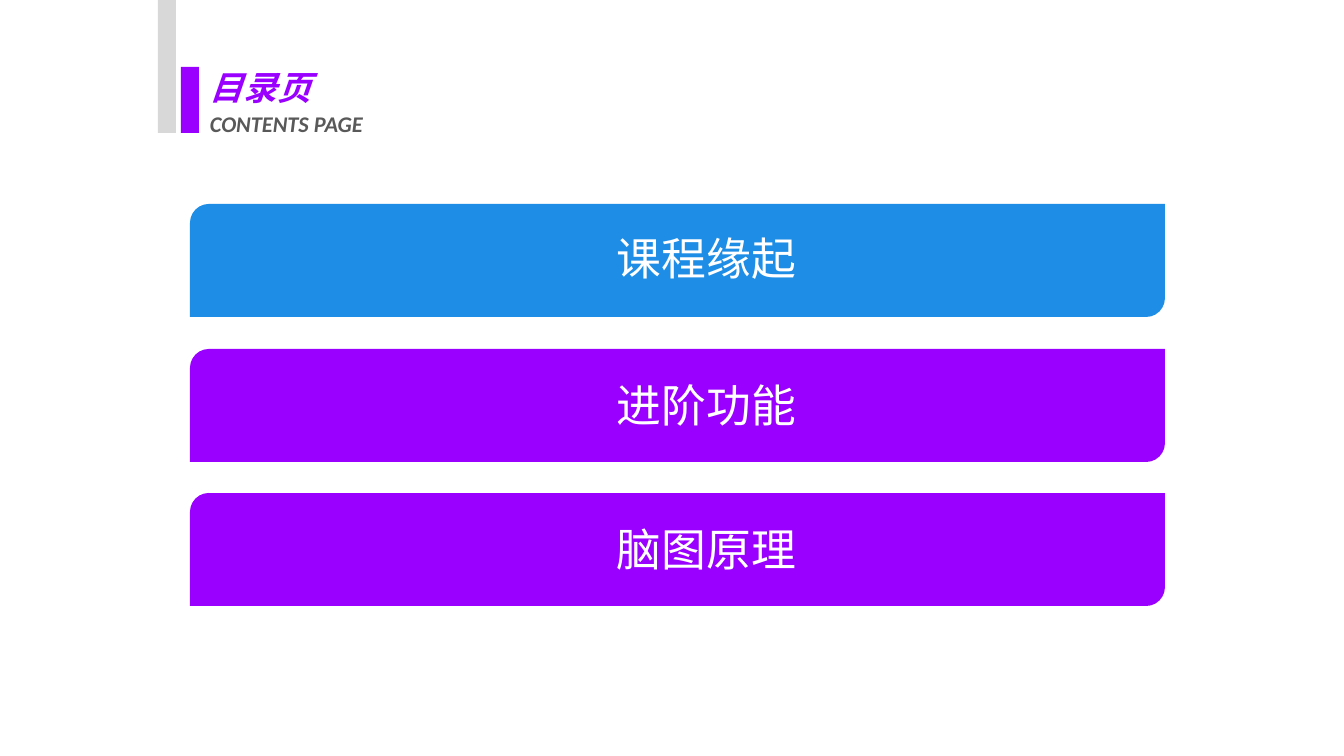
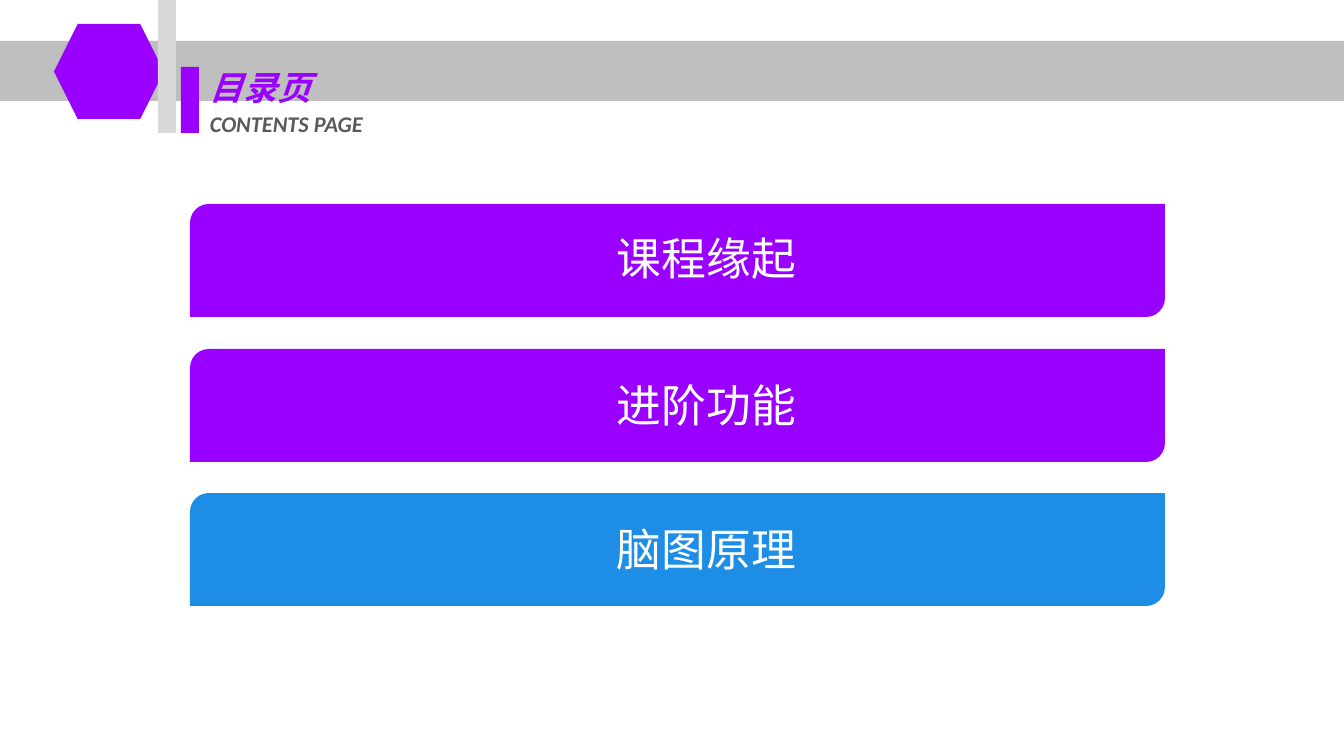
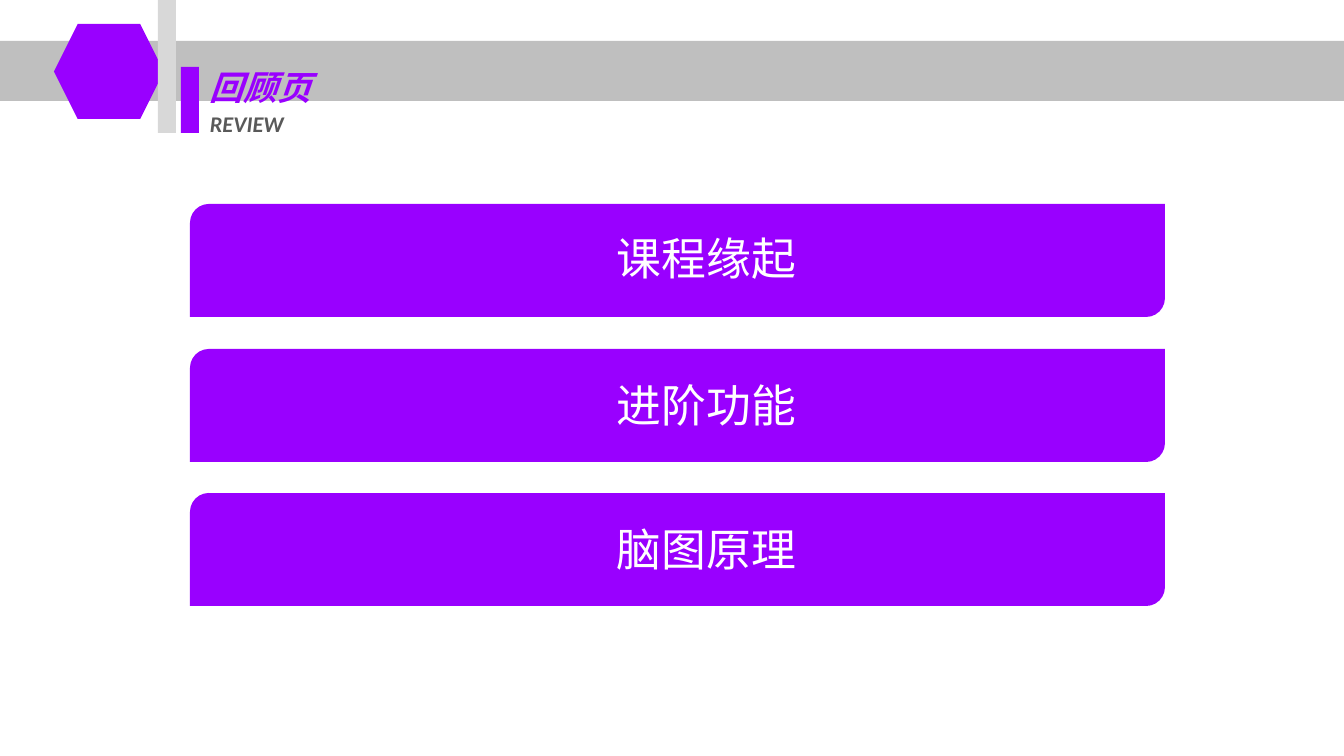
from lxml import etree
from pptx import Presentation
from pptx import util as u
from pptx.dml.color import RGBColor
from pptx.enum import shapes, text
from pptx.oxml.ns import qn

PX = 914400 / 100.8
WIDTH, HEIGHT = 1344, 756
PURPLE, BLUE, WHITE = "9900FF", "1D8DE5", "FFFFFF"
BAND_GREY, BAR_GREY, TEXT_GREY = "BFBFBF", "D8D8D8", "595959"
CJK, LATIN = "Noto Sans CJK SC", "Calibri"
KIND = shapes.MSO_SHAPE


def add_block(slide, kind, box, color):
    shape = slide.shapes.add_shape(kind, *[u.Emu(round(n * PX)) for n in box])
    shape.shadow.inherit = False
    shape.fill.solid()
    shape.fill.fore_color.rgb = RGBColor.from_string(color)
    shape.line.fill.background()


def add_text(slide, box, lines, align=text.PP_ALIGN.LEFT, bold_italic=False, spacing=None):
    """Add a text box; each line is (wording, font, points, colour)."""
    frame = slide.shapes.add_textbox(*[u.Emu(round(n * PX)) for n in box]).text_frame
    frame.word_wrap = True
    frame.auto_size = text.MSO_AUTO_SIZE.SHAPE_TO_FIT_TEXT
    for index, (wording, face, points, color) in enumerate(lines):
        paragraph = frame.add_paragraph() if index else frame.paragraphs[0]
        paragraph.text = wording
        paragraph.alignment = align
        paragraph.line_spacing = spacing
        font = paragraph.font
        font.name, font.size = face, u.Pt(points)
        font.bold = font.italic = bold_italic
        font.color.rgb = RGBColor.from_string(color)
        # Chinese characters take their typeface from a:ea
        properties = paragraph._p.pPr.find(qn("a:defRPr"))
        etree.SubElement(properties, qn("a:ea")).set("typeface", face)


# heading, subheading, has header band, highlighted chapter
pages = [
    ("目录页", "CONTENTS PAGE", False, "课程缘起"),
    ("目录页", "CONTENTS PAGE", True, "脑图原理"),
    ("回顾页", "REVIEW", True, None),
]
# chapter, top of bar, top of label
chapters = [("课程缘起", 204, 226), ("进阶功能", 349, 373), ("脑图原理", 493, 517)]

presentation = Presentation()
presentation.slide_width = u.Emu(round(WIDTH * PX))
presentation.slide_height = u.Emu(round(HEIGHT * PX))

for heading, subheading, has_band, highlighted in pages:
    slide = presentation.slides.add_slide(presentation.slide_layouts[6])
    if has_band:
        add_block(slide, KIND.RECTANGLE, (0, 41, WIDTH, 60), BAND_GREY)
        add_block(slide, KIND.HEXAGON, (54, 24, 110, 95), PURPLE)
    add_block(slide, KIND.RECTANGLE, (158, 0, 18, 133), BAR_GREY)
    add_block(slide, KIND.RECTANGLE, (181, 67, 18, 66), PURPLE)
    add_text(slide, (200, 57, 221, 86),
             [(heading, CJK, 24, PURPLE), (subheading, LATIN, 16, TEXT_GREY)],
             bold_italic=True, spacing=1.12)
    for chapter, bar_top, label_top in chapters:
        color = BLUE if chapter == highlighted else PURPLE
        add_block(slide, KIND.ROUND_2_DIAG_RECTANGLE, (190, bar_top, 975, 113), color)
        add_text(slide, (470, label_top, 473, 64), [(chapter, CJK, 32, WHITE)],
                 align=text.PP_ALIGN.CENTER)

presentation.save("out.pptx")
